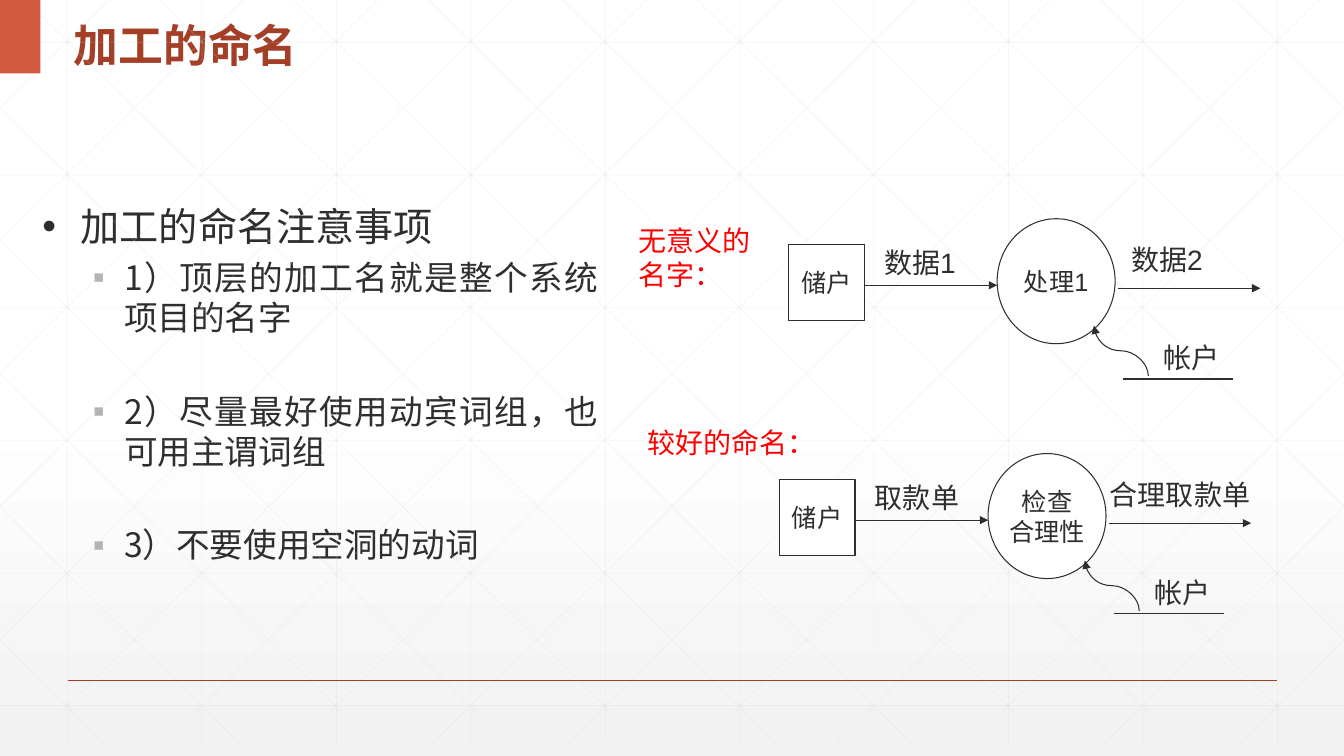
from lxml import etree
from pptx import Presentation
from pptx.dml.color import RGBColor
from pptx.enum.shapes import MSO_CONNECTOR, MSO_SHAPE
from pptx.enum.text import MSO_ANCHOR, PP_ALIGN
from pptx.oxml.ns import qn
from pptx.util import Inches, Pt

STRAIGHT, CURVE = MSO_CONNECTOR.STRAIGHT, MSO_CONNECTOR.CURVE
PROCESS, CIRCLE = MSO_SHAPE.FLOWCHART_PROCESS, MSO_SHAPE.FLOWCHART_CONNECTOR
RECTANGLE = MSO_SHAPE.RECTANGLE
TOP, MIDDLE = MSO_ANCHOR.TOP, MSO_ANCHOR.MIDDLE
LEFT, CENTER, JUSTIFY = PP_ALIGN.LEFT, PP_ALIGN.CENTER, PP_ALIGN.JUSTIFY

WIDTH, HEIGHT = 13.33, 7.5
LATIN, CJK = "Arial", "Noto Sans CJK SC"
COLORS = {"white": "FFFFFF", "fade": "F2F2F2", "grid": "D9D9D9", "rule": "A43F27",
          "tab": "D15A3E", "ink": "2D2E2D", "caption": "FF0000", "bullet": "B2B2B2"}


def rgb(name):
    return RGBColor.from_string(COLORS[name])


def style(paragraph, size, color="ink", font=LATIN, bold=False):
    paragraph.font.name = font
    paragraph.font.size = Pt(size)
    paragraph.font.bold = bold
    paragraph.font.color.rgb = rgb(color)
    properties = paragraph.font._element
    east_asian = etree.SubElement(properties, qn("a:ea"), typeface=CJK)
    properties.find(qn("a:latin")).addnext(east_asian)


def add_line(slide, start, end, color="ink", width=0.75, kind=STRAIGHT, arrow=False, alpha=None):
    line = slide.shapes.add_connector(kind, *(Inches(v) for v in (*start, *end)))
    line.line.color.rgb = rgb(color)
    line.line.width = Pt(width)
    outline = line.line._ln
    if alpha:
        tint = outline.find(".//" + qn("a:srgbClr"))
        etree.SubElement(tint, qn("a:alpha"), val=str(alpha * 1000))
    if arrow:
        etree.SubElement(outline, qn("a:tailEnd"), type="triangle")
    etree.SubElement(line._element.spPr, qn("a:effectLst"))
    return line


def add_label(slide, left, top, width, height, text, color="ink"):
    frame = slide.shapes.add_textbox(*map(Inches, (left, top, width, height))).text_frame
    frame.word_wrap = True
    frame.text = text
    style(frame.paragraphs[0], 20, color)


def add_node(slide, kind, left, top, width, height, lines):
    node = slide.shapes.add_shape(kind, *map(Inches, (left, top, width, height)))
    node.shadow.inherit = False
    node.fill.solid()
    node.fill.fore_color.rgb = rgb("white")
    node.line.color.rgb = rgb("ink")
    node.line.width = Pt(0.75)
    frame = node.text_frame
    frame.word_wrap = False
    frame.vertical_anchor = MIDDLE
    frame.text = "\n".join(lines)
    for paragraph in frame.paragraphs:
        paragraph.alignment = CENTER
        style(paragraph, 18)


def add_backdrop(slide):
    # Gradient from white to pale grey, top to bottom
    fill = slide.background.fill
    fill.gradient()
    fill.gradient_angle = 270
    for stop, position, color in zip(fill.gradient_stops, (0.53, 1), ("white", "fade")):
        stop.position = position
        stop.color.rgb = rgb(color)

    # Upright, level and diagonal grid lines
    bottom, step, run = 7.37, 4 / 3, 7.45
    slope = bottom / run
    grid = [((0.67 + step * i, 0), (0.67 + step * i, bottom)) for i in range(10)]
    grid += [((0, 0.42 + 1.316 * i), (WIDTH, 0.42 + 1.316 * i)) for i in range(6)]
    for i in range(-5, 10):
        origin = 0.25 + step * i
        x1, x2 = max(origin, 0), min(origin + run, WIDTH)
        y1, y2 = (x1 - origin) * slope, (x2 - origin) * slope
        grid += [((x1, y1), (x2, y2)), ((WIDTH - x1, y1), (WIDTH - x2, y2))]
    for start, end in grid:
        add_line(slide, start, end, "grid", 0.5, alpha=25)

    # Footer rule and corner tab
    add_line(slide, (0.67, 6.75), (12.67, 6.75), "rule", 1)
    tab = slide.shapes.add_shape(RECTANGLE, 0, 0, Inches(0.4), Inches(0.73))
    tab.shadow.inherit = False
    tab.fill.solid()
    tab.fill.fore_color.rgb = rgb("tab")
    tab.line.fill.background()


def place(placeholder, left, top, width, height, anchor):
    placeholder.left, placeholder.top = Inches(left), Inches(top)
    placeholder.width, placeholder.height = Inches(width), Inches(height)
    placeholder.text_frame.vertical_anchor = anchor
    return placeholder.text_frame


def add_title(slide, left, top, width, height, text):
    frame = place(slide.shapes.title, left, top, width, height, MIDDLE)
    frame.text = text
    heading = frame.paragraphs[0]
    heading.alignment = LEFT
    heading.line_spacing = 1.3
    style(heading, 32, "rule", CJK, bold=True)


def add_notes_list(slide, left, top, width, height, heading, rules):
    frame = place(slide.placeholders[1], left, top, width, height, TOP)
    frame.text = "\n".join([heading, *rules])
    for i, paragraph in enumerate(frame.paragraphs):
        paragraph.level = 1 if i else 0
        paragraph.alignment = JUSTIFY
        paragraph.space_before = Pt((0, 5, 38, 38)[i])
        properties = paragraph._p.get_or_add_pPr()
        margin, hanging = (0.81, 0.31) if i else (0.38, 0.38)
        properties.set("marL", str(Inches(margin)))
        properties.set("indent", str(-Inches(hanging)))
        if i:
            tint = etree.SubElement(properties, qn("a:buClr"))
            etree.SubElement(tint, qn("a:srgbClr"), val=COLORS["bullet"])
        etree.SubElement(properties, qn("a:buFont"), typeface=LATIN)
        etree.SubElement(properties, qn("a:buChar"), char="▪" if i else "•")
        style(paragraph, 24 if i else 28, font=CJK)


def add_data_flow(slide, left, top, process, inflow, outflow, outflow_left):
    # Depositor, process and account store
    add_node(slide, PROCESS, left, top + 0.26, 0.75, 0.75, ["储户"])
    add_node(slide, CIRCLE, left + 2.07, top, 1.17, 1.24, process)
    add_line(slide, (left + 3.32, top + 1.59), (left + 4.41, top + 1.59))
    add_label(slide, left + 3.62, top + 1.16, 0.97, 0.43, "帐户")

    # Flows in and out
    add_line(slide, (left + 0.75, top + 0.66), (left + 2.07, top + 0.66), arrow=True)
    add_line(slide, (left + 3.27, top + 0.69), (left + 4.68, top + 0.69), arrow=True)
    add_label(slide, left + 0.85, top + 0.22, 1.1, 0.43, inflow)
    add_label(slide, left + outflow_left, top + 0.19, 1.73, 0.43, outflow)

    # Curve from the account store up to the process, turned a quarter
    curve = add_line(slide, (left + 3.55, top + 1.04), (left + 3.05, top + 1.58),
                     kind=CURVE, arrow=True)
    curve._element.spPr.find(qn("a:xfrm")).set("rot", "5400000")


def main():
    deck = Presentation()
    deck.slide_width, deck.slide_height = Inches(WIDTH), Inches(HEIGHT)
    slide = deck.slides.add_slide(deck.slide_layouts[1])

    add_backdrop(slide)
    add_title(slide, 0.63, 0, 5.69, 0.73, "加工的命名")
    add_notes_list(slide, 0.32, 1.96, 5.71, 4.11, "加工的命名注意事项", [
        "1）顶层的加工名就是整个系统项目的名字",
        "2）尽量最好使用动宾词组，也可用主谓词组",
        "3）不要使用空洞的动词",
    ])

    # Meaningless names above, better names below
    add_label(slide, 6.23, 2.17, 1.5, 0.77, "无意义的名字：", "caption")
    add_data_flow(slide, 7.82, 2.17, ["处理1"], "数据1", "数据2", 3.3)
    add_label(slide, 6.32, 4.17, 1.67, 0.43, "较好的命名：", "caption")
    add_data_flow(slide, 7.73, 4.5, ["检查", "合理性"], "取款单", "合理取款单", 3.18)

    deck.save("out.pptx")


if __name__ == "__main__":
    main()
